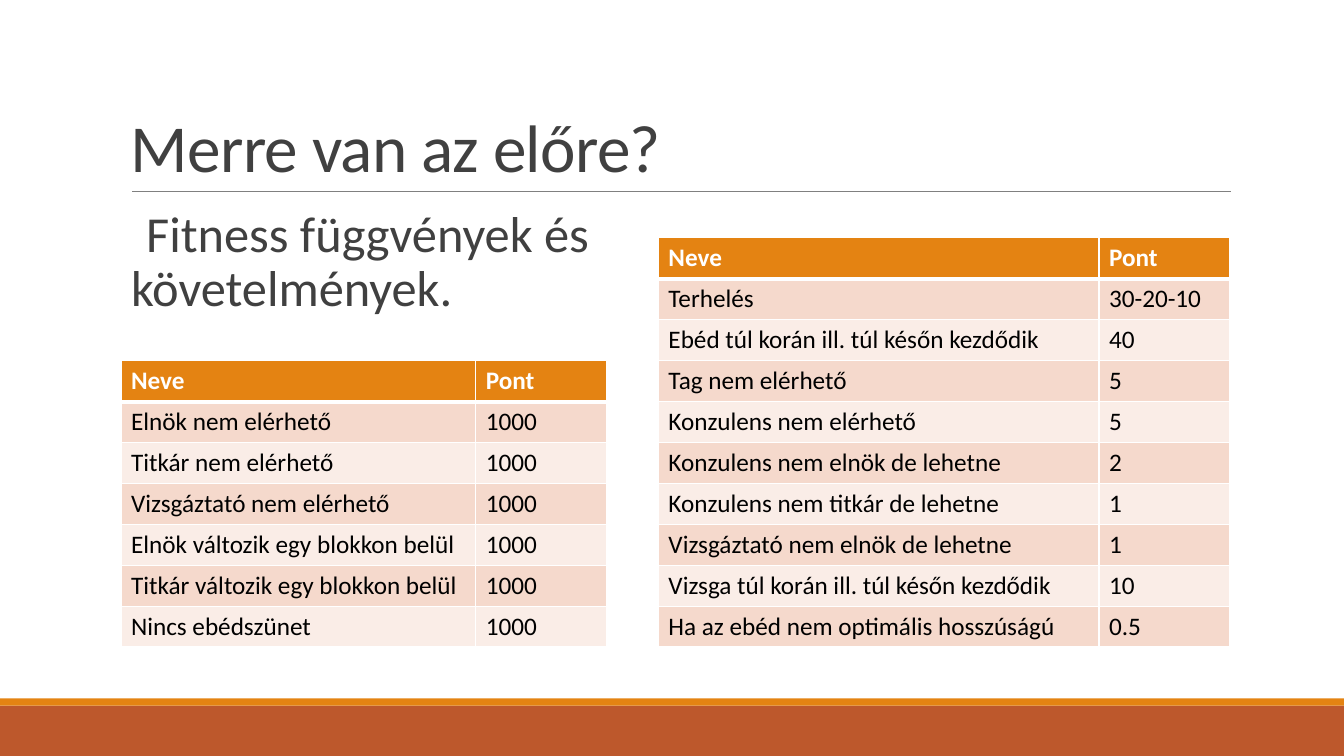
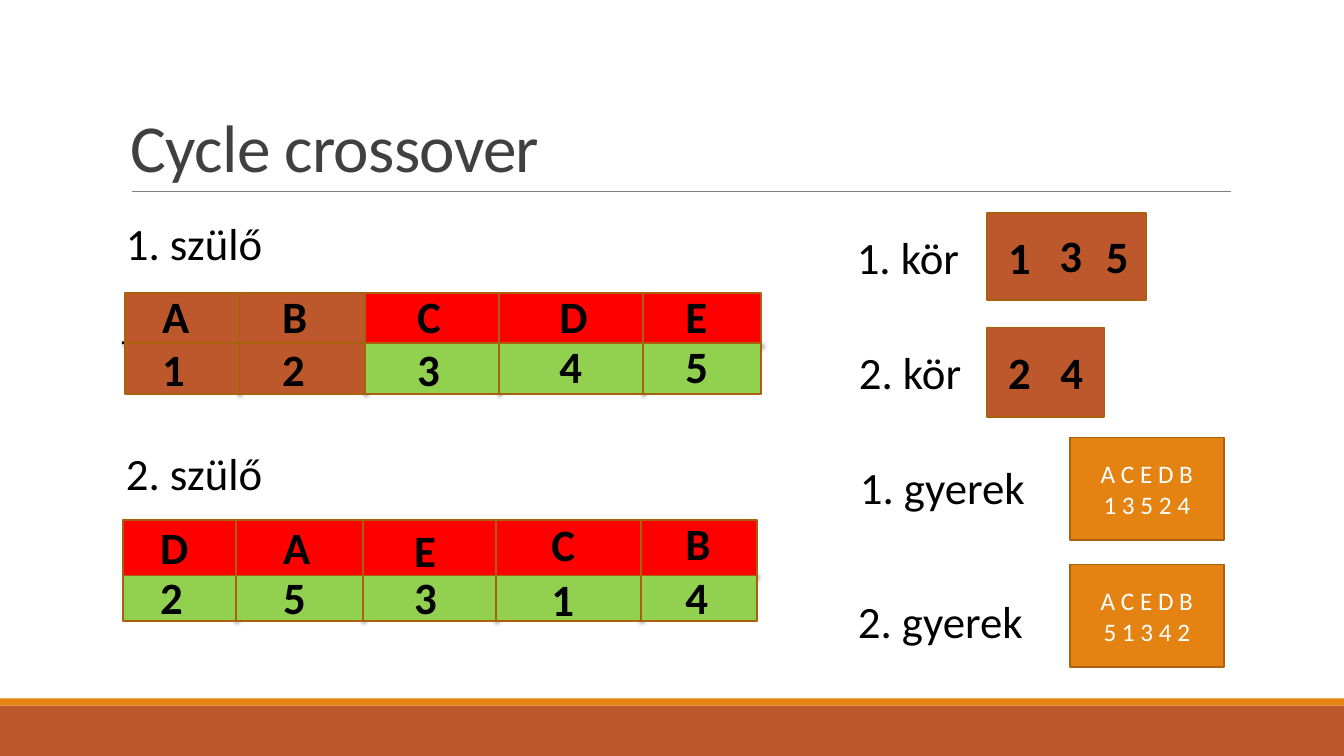
"""Build two slides: fitness tables and a cycle crossover."""
from dataclasses import dataclass
from itertools import pairwise

from lxml.etree import SubElement
from pptx import Presentation
from pptx.dml.color import RGBColor
from pptx.enum.shapes import MSO_CONNECTOR, MSO_SHAPE
from pptx.enum.text import MSO_ANCHOR, PP_ALIGN
from pptx.oxml.ns import qn
from pptx.util import Emu, Pt

FONT = "Calibri"
ORANGE, BROWN, EDGE = "E48312", "BD582C", "A9610D"
RED, GREEN = "FF0000", "92D050"
BLACK, WHITE, DARK, GREY = "000000", "FFFFFF", "404040", "808080"
BANDS = ("FAEDE7", "F5D9CC")


@dataclass(frozen=True)
class Box:
    left: int
    top: int
    width: int
    height: int


@dataclass(frozen=True)
class Grid:
    box: Box
    split: int
    rows: tuple[tuple[str, str], ...]


@dataclass(frozen=True)
class Gene:
    name: str
    digit: str
    left: int
    top: int
    low: int
    fills: tuple[str, str] = (RED, GREEN)


@dataclass(frozen=True)
class Parent:
    edges: tuple[int, ...]
    lines: tuple[int, int, int]
    rule: tuple[int, int, int, int]
    genes: tuple[Gene, ...]


@dataclass(frozen=True)
class Label:
    text: str
    left: int
    top: int
    width: int
    bold: bool = False


@dataclass(frozen=True)
class Child:
    top: int
    text: str


HARD = Grid(Box(120, 358, 482, 284), 352, (
    ("Neve", "Pont"),
    ("Elnök nem elérhető", "1000"),
    ("Titkár nem elérhető", "1000"),
    ("Vizsgáztató nem elérhető", "1000"),
    ("Elnök változik egy blokkon belül", "1000"),
    ("Titkár változik egy blokkon belül", "1000"),
    ("Nincs ebédszünet", "1000"),
))
SOFT = Grid(Box(653, 236, 567, 406), 437, (
    ("Neve", "Pont"),
    ("Terhelés", "30-20-10"),
    ("Ebéd túl korán ill. túl későn kezdődik", "40"),
    ("Tag nem elérhető", "5"),
    ("Konzulens nem elérhető", "5"),
    ("Konzulens nem elnök de lehetne", "2"),
    ("Konzulens nem titkár de lehetne", "1"),
    ("Vizsgáztató nem elnök de lehetne", "1"),
    ("Vizsga túl korán ill. túl későn kezdődik", "10"),
    ("Ha az ebéd nem optimális hosszúságú", "0.5"),
))
PARENTS = (
    Parent((124, 237, 362, 495, 638, 755), (291, 340, 391), (121, 340, 755, 341), (
        Gene("A", "1", 151, 282, 334, (BROWN, BROWN)),
        Gene("B", "2", 270, 282, 334, (BROWN, BROWN)),
        Gene("C", "3", 404, 282, 334),
        Gene("D", "4", 545, 282, 331),
        Gene("E", "5", 670, 282, 331),
    )),
    Parent((122, 234, 360, 492, 636, 751), (516, 571, 616), (122, 572, 750, 571), (
        Gene("D", "2", 149, 511, 560),
        Gene("A", "5", 271, 511, 560),
        Gene("E", "3", 401, 514, 560),
        Gene("C", "1", 537, 508, 562),
        Gene("B", "4", 670, 507, 560),
    )),
)
ROUNDS = (Box(979, 211, 158, 87), Box(979, 325, 116, 89))
LABELS = (
    Label("1. szülő", 115, 209, 163),
    Label("2. szülő", 115, 437, 169),
    Label("1. kör", 840, 223, 146),
    Label("2. kör", 842, 337, 142),
    Label("1. gyerek", 843, 451, 195),
    Label("2. gyerek", 841, 584, 195),
    Label("1", 990, 223, 46, True),
    Label("3", 1041, 221, 46, True),
    Label("5", 1087, 222, 46, True),
    Label("2", 990, 337, 46, True),
    Label("4", 1042, 337, 46, True),
)
CHILDREN = (Child(434, "A C E D B\n1 3 5 2 4"), Child(560, "A C E D B\n5 1 3 4 2"))


def px(size: int) -> Emu:
    return Emu(size * 9144)


def rgb(code: str) -> RGBColor:
    return RGBColor.from_string(code)


def write(frame, text: str, *, size=18, color=BLACK, bold=False, align=None, space=None):
    frame.word_wrap = True
    frame.text = text
    for para in frame.paragraphs:
        para.alignment = align
        para.line_spacing = space
        for run in para.runs:
            font = run.font
            font.name, font.size, font.bold = FONT, Pt(size), bold
            font.color.rgb = rgb(color)
    return frame.paragraphs[0]


def note(slide, box: Box, text: str, anchor=MSO_ANCHOR.TOP, **style):
    shape = slide.shapes.add_textbox(
        px(box.left), px(box.top), px(box.width), px(box.height))
    shape.text_frame.vertical_anchor = anchor
    return shape.text_frame, write(shape.text_frame, text, **style)


def rect(slide, box: Box, fill: str, edge: str | None = EDGE):
    shape = slide.shapes.add_shape(
        MSO_SHAPE.RECTANGLE, px(box.left), px(box.top), px(box.width), px(box.height))
    shape.shadow.inherit = False
    shape.fill.solid()
    shape.fill.fore_color.rgb = rgb(fill)
    if edge:
        shape.line.color.rgb = rgb(edge)
        shape.line.width = Pt(1.25)
    else:
        shape.line.fill.background()
    return shape


def rule(slide, ends: tuple[int, int, int, int], color: str, width: float, shade=False):
    line = slide.shapes.add_connector(MSO_CONNECTOR.STRAIGHT, *map(px, ends))
    line.line.color.rgb = rgb(color)
    line.line.width = Pt(width)
    effect = SubElement(line.element.spPr, qn("a:effectLst"))
    if shade:
        cast = SubElement(effect, qn("a:outerShdw"), blurRad="38100", dist="25400",
                          dir="2700000", rotWithShape="0")
        tone = SubElement(cast, qn("a:srgbClr"), val=BLACK)
        SubElement(tone, qn("a:alpha"), val="60000")


def start(deck, title: str):
    slide = deck.slides.add_slide(deck.slide_layouts[6])
    rect(slide, Box(0, 700, 1333, 50), BROWN, None)
    rect(slide, Box(0, 693, 1333, 7), ORANGE, None)
    rule(slide, (131, 190, 1221, 190), GREY, 0.5)
    _, para = note(slide, Box(120, 31, 1100, 159), title, MSO_ANCHOR.BOTTOM,
                   size=48, color=DARK, space=0.85)
    para.runs[0].font._element.set("spc", "-50")
    return slide


def border(cell, tag: str, width: float) -> None:
    line = SubElement(cell._tc.get_or_add_tcPr(), qn(f"a:{tag}"), w=str(Pt(width)))
    fill = SubElement(line, qn("a:solidFill"))
    SubElement(fill, qn("a:srgbClr"), val=WHITE)


def draw_grid(slide, grid: Grid) -> None:
    box, count = grid.box, len(grid.rows)
    table = slide.shapes.add_table(
        count, 2, px(box.left), px(box.top), px(box.width), px(box.height)).table
    table.columns[0].width = px(grid.split)
    table.columns[1].width = px(box.width - grid.split)
    for row, texts in enumerate(grid.rows):
        table.rows[row].height = Emu(px(box.height) // count)
        head = row == 0
        for col, text in enumerate(texts):
            cell = table.cell(row, col)
            write(cell.text_frame, text, color=WHITE if head else BLACK, bold=head)
            for tag in ("lnL", "lnR", "lnT", "lnB"):
                thick = (row, tag) in ((0, "lnB"), (1, "lnT"))
                border(cell, tag, 3 if thick else 1)
            cell.fill.solid()
            cell.fill.fore_color.rgb = rgb(ORANGE if head else BANDS[row % 2])


def draw_label(slide, label: Label) -> None:
    note(slide, Box(label.left, label.top, label.width, 64), label.text,
         size=32, bold=label.bold)


def draw_parent(slide, parent: Parent) -> None:
    top, mid, end = parent.lines
    for edge in parent.edges[1:-1]:
        rule(slide, (edge + 1, top, edge - 1, end), BROWN, 2, True)
    rule(slide, parent.rule, BLACK, 2, True)
    for gene, (left, right) in zip(parent.genes, pairwise(parent.edges)):
        for fill, (high, low) in zip(gene.fills, pairwise(parent.lines)):
            rect(slide, Box(left, high, right - left, low - high), fill)
        draw_label(slide, Label(gene.name, gene.left, gene.top, 46, True))
        draw_label(slide, Label(gene.digit, gene.left, gene.low, 46, True))


def draw_child(slide, child: Child) -> None:
    shape = rect(slide, Box(1061, child.top, 153, 102), ORANGE)
    shape.text_frame.vertical_anchor = MSO_ANCHOR.MIDDLE
    write(shape.text_frame, child.text, color=WHITE, align=PP_ALIGN.CENTER)


def fitness(deck) -> None:
    slide = start(deck, "Merre van az előre?")
    frame, para = note(slide, Box(120, 202, 517, 440),
                       "Fitness függvények és követelmények.",
                       size=36, color=DARK, space=0.9)
    frame.margin_left = frame.margin_right = 0
    para.space_before, para.space_after = Pt(12), Pt(2)
    props = para._p.get_or_add_pPr()
    props.set("marL", str(px(10)))
    props.set("indent", str(px(-10)))
    SubElement(SubElement(props, qn("a:buClr")), qn("a:srgbClr"), val=ORANGE)
    SubElement(props, qn("a:buChar"), char=" ")
    for grid in (SOFT, HARD):
        draw_grid(slide, grid)


def cycle(deck) -> None:
    slide = start(deck, "Cycle crossover")
    for parent in PARENTS:
        draw_parent(slide, parent)
    for box in ROUNDS:
        rect(slide, box, BROWN)
    for label in LABELS:
        draw_label(slide, label)
    for child in CHILDREN:
        draw_child(slide, child)


def main() -> None:
    deck = Presentation()
    deck.slide_width, deck.slide_height = px(1333), px(750)
    fitness(deck)
    cycle(deck)
    deck.save("out.pptx")


if __name__ == "__main__":
    main()
